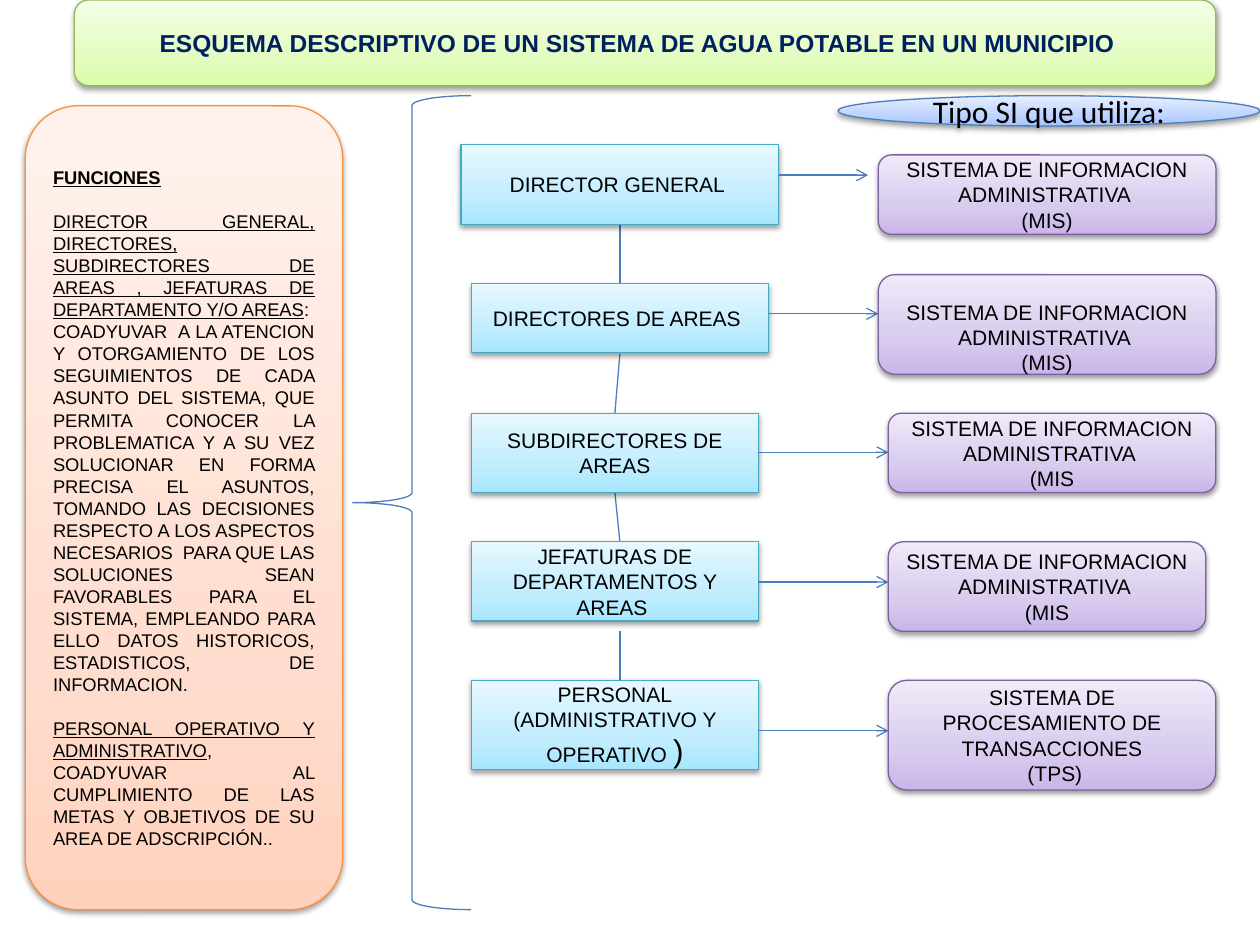
from copy import deepcopy

from lxml import etree
from pptx import Presentation
from pptx.dml.color import RGBColor
from pptx.enum.shapes import MSO_CONNECTOR, MSO_SHAPE
from pptx.enum.text import MSO_ANCHOR, PP_ALIGN
from pptx.oxml.ns import qn
from pptx.util import Inches, Pt

RECTANGLE, ROUNDED = MSO_SHAPE.RECTANGLE, MSO_SHAPE.ROUNDED_RECTANGLE
ELLIPSE, BRACE = MSO_SHAPE.OVAL, MSO_SHAPE.LEFT_BRACE
STRAIGHT = MSO_CONNECTOR.STRAIGHT
LEFT, CENTER, JUSTIFY = PP_ALIGN.LEFT, PP_ALIGN.CENTER, PP_ALIGN.JUSTIFY
MIDDLE = MSO_ANCHOR.MIDDLE

THEME = {
    "font": "Arial",
    "label_font": "Calibri",
    "text": "000000",
    "title_text": "002060",
    "line": "4B7EBC",
    "line_width": 0.75,
    "sizes": {"title": 14, "label": 18, "box": 12, "functions": 10.5},
    # outline, then gradient from bottom to top
    "green": ("98B955", ("DAFDA7", "E4FCC2", "F5FFE7")),
    "cyan": ("46AAC5", ("A7E6FF", "C1EDFF", "E7F8FF")),
    "blue": ("4B7EBC", ("A4C4FF", "BFD4FF", "E6EEFF")),
    "purple": ("7D60A0", ("C9B5E8", "D8CBEE", "F0EAF9")),
    "orange": ("F69240", ("FFD2BD", "FFDED0", "FFF2ED")),
}
STOPS = (0, 0.35, 1)
SIZES = THEME["sizes"]

TITLE = "ESQUEMA DESCRIPTIVO DE UN SISTEMA DE AGUA POTABLE EN UN MUNICIPIO"
LABEL = "Tipo SI que utiliza:"
MIS = "SISTEMA DE INFORMACION ADMINISTRATIVA "

# Each level: position and lines of its job, arrow height and end,
# position, top inset and lines of its information system.
LEVELS = [
    ((3.66, 1.15, 2.52, 0.63), ["DIRECTOR GENERAL "], 1.39, 6.89,
     (6.97, 1.23, 2.68, 0.63), 0.05, [MIS, "(MIS)"]),
    ((3.74, 2.25, 2.36, 0.55), ["DIRECTORES DE AREAS "], 2.49, 6.97,
     (6.97, 2.18, 2.68, 0.79), 0.25, [MIS, "(MIS)"]),
    ((3.74, 3.28, 2.28, 0.63), ["SUBDIRECTORES DE AREAS"], 3.59, 7.05,
     (7.05, 3.28, 2.6, 0.63), 0.05, [MIS, "(MIS"]),
    ((3.74, 4.3, 2.28, 0.63), ["JEFATURAS DE DEPARTAMENTOS Y AREAS "], 4.62, 7.05,
     (7.05, 4.3, 2.52, 0.71), 0.05, [MIS, "(MIS"]),
    ((3.74, 5.4, 2.28, 0.71), ["PERSONAL", "(ADMINISTRATIVO Y OPERATIVO "], 5.8, 7.05,
     (7.05, 5.4, 2.6, 0.87), 0.05, ["SISTEMA DE PROCESAMIENTO DE TRANSACCIONES", " (TPS)"]),
]
LINKS = [
    ((4.92, 1.78), (4.92, 2.25)),
    ((4.92, 2.81), (4.88, 3.28)),
    ((4.88, 3.91), (4.92, 4.3)),
    ((4.92, 5.01), (4.92, 5.4)),
]

# Each paragraph: alignment, space before, runs of (text, bold, underline)
FUNCTIONS = [
    (LEFT, 0, [("FUNCIONES", True, True)]),
    (JUSTIFY, 12.5, [
        ("DIRECTOR GENERAL, DIRECTORES, SUBDIRECTORES DE AREAS , "
         "JEFATURAS DE DEPARTAMENTO Y/O AREAS", False, True),
        (": ", False, False)]),
    (JUSTIFY, 0, [
        ("COADYUVAR  A LA ATENCION Y OTORGAMIENTO DE LOS SEGUIMIENTOS DE CADA ASUNTO "
         "DEL SISTEMA, QUE PERMITA CONOCER LA PROBLEMATICA Y A SU VEZ SOLUCIONAR EN "
         "FORMA PRECISA EL ASUNTOS, TOMANDO LAS DECISIONES RESPECTO A LOS ASPECTOS "
         "NECESARIOS  PARA QUE LAS SOLUCIONES SEAN FAVORABLES PARA EL SISTEMA, EMPLEANDO "
         "PARA ELLO DATOS HISTORICOS, ESTADISTICOS, DE INFORMACION.", False, False)]),
    (JUSTIFY, 12.5, [
        ("PERSONAL OPERATIVO Y ADMINISTRATIVO", False, True),
        (", COADYUVAR AL CUMPLIMIENTO DE LAS METAS Y OBJETIVOS DE SU AREA DE "
         "ADSCRIPCIÓN..", False, False)]),
]


def set_line(line, color):
    line.color.rgb = RGBColor.from_string(color)
    line.width = Pt(THEME["line_width"])


def add_box(slide, kind, position, style):
    """Add a shape with a three-stop vertical gradient and a soft shadow below."""
    shape = slide.shapes.add_shape(kind, *map(Inches, position))
    outline, colors = THEME[style]
    set_line(shape.line, outline)

    shape.fill.gradient()
    shape.fill.gradient_angle = 90
    properties = shape._element.spPr
    stop_list = properties.find(".//" + qn("a:gsLst"))
    stop_list.insert(1, deepcopy(stop_list[0]))
    for stop, place, color in zip(shape.fill.gradient_stops, STOPS, colors):
        stop.position = place
        stop.color.rgb = RGBColor.from_string(color)

    shape.shadow.inherit = False
    shadow = etree.SubElement(
        properties.find(qn("a:effectLst")), qn("a:outerShdw"),
        blurRad="40000", dist="20000", dir="5400000", rotWithShape="0")
    shadow_color = etree.SubElement(shadow, qn("a:srgbClr"), val="000000")
    etree.SubElement(shadow_color, qn("a:alpha"), val="38000")

    shape.text_frame.word_wrap = True
    shape.text_frame.vertical_anchor = MIDDLE
    return shape


def add_run(paragraph, text, size, color=THEME["text"], font=THEME["font"],
            bold=False, underline=False):
    run = paragraph.add_run()
    run.text = text
    run.font.name = font
    run.font.size = Pt(size)
    run.font.bold = bold
    run.font.underline = underline
    run.font.color.rgb = RGBColor.from_string(color)


def add_paragraph(frame, index, alignment=CENTER):
    paragraph = frame.add_paragraph() if index else frame.paragraphs[0]
    paragraph.alignment = alignment
    return paragraph


def add_lines(shape, lines, size, **look):
    for index, text in enumerate(lines):
        add_run(add_paragraph(shape.text_frame, index), text, size, **look)


def add_line(slide, start, end, arrow=False):
    connector = slide.shapes.add_connector(STRAIGHT, *map(Inches, start + end))
    set_line(connector.line, THEME["line"])
    properties = connector._element.spPr
    if arrow:
        etree.SubElement(properties.find(qn("a:ln")), qn("a:tailEnd"), type="arrow")
    etree.SubElement(properties, qn("a:effectLst"))


def add_functions(slide):
    panel = add_box(slide, ROUNDED, (0.2, 0.84, 2.52, 6.38), "orange")
    for index, (alignment, space, runs) in enumerate(FUNCTIONS):
        paragraph = add_paragraph(panel.text_frame, index, alignment)
        if space:
            paragraph.space_before = Pt(space)
        for text, bold, underline in runs:
            add_run(paragraph, text, SIZES["functions"], bold=bold, underline=underline)


def add_levels(slide):
    for job_position, job, arrow_y, arrow_end, system_position, inset, system in LEVELS:
        job_box = add_box(slide, RECTANGLE, job_position, "cyan")
        add_lines(job_box, job, SIZES["box"])
        job_right = job_position[0] + job_position[2]
        add_line(slide, (job_right, arrow_y), (arrow_end, arrow_y), arrow=True)
        system_box = add_box(slide, ROUNDED, system_position, "purple")
        system_box.text_frame.margin_top = Inches(inset)
        add_lines(system_box, system, SIZES["box"])
    # The closing bracket of the last job is larger than its text
    add_run(job_box.text_frame.paragraphs[-1], ")", SIZES["label"])


def main():
    presentation = Presentation()
    presentation.slide_width, presentation.slide_height = Inches(10), Inches(7.5)
    slide = presentation.slides.add_slide(presentation.slide_layouts[6])

    title = add_box(slide, ROUNDED, (0.59, 0, 9.06, 0.68), "green")
    title.text_frame.margin_right = Inches(0.22)
    add_lines(title, [TITLE], SIZES["title"], color=THEME["title_text"], bold=True)

    label = add_box(slide, ELLIPSE, (6.65, 0.76, 3.35, 0.24), "blue")
    add_lines(label, [LABEL], SIZES["label"], font=THEME["label_font"])

    for start, end in LINKS:
        add_line(slide, start, end)
    add_levels(slide)

    brace = slide.shapes.add_shape(BRACE, *map(Inches, (2.8, 0.76, 0.94, 6.46)))
    brace.fill.background()
    brace.shadow.inherit = False
    set_line(brace.line, THEME["line"])
    add_functions(slide)

    presentation.save("out.pptx")


if __name__ == "__main__":
    main()
